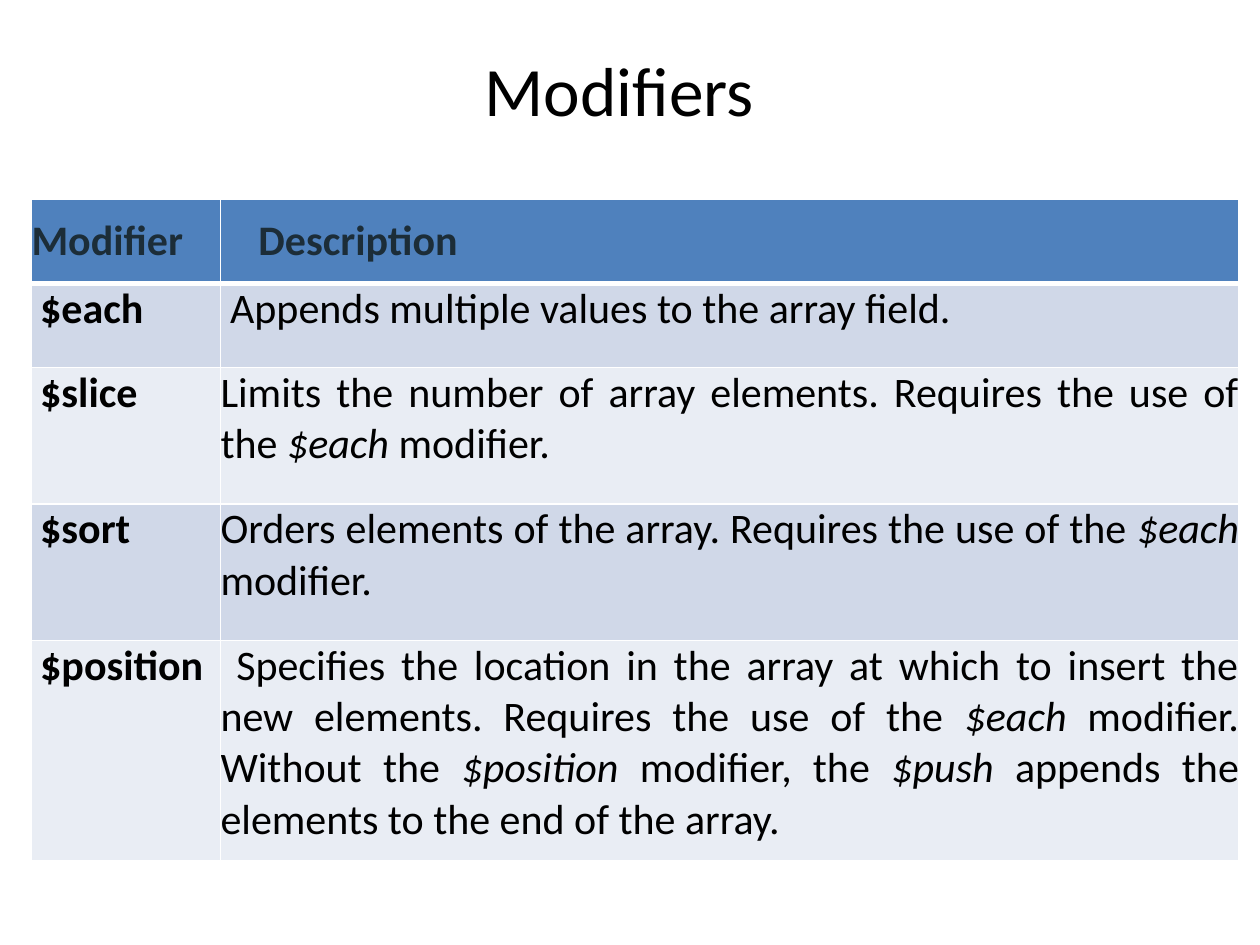
from lxml.etree import SubElement
from pptx import Presentation
from pptx.dml.color import RGBColor
from pptx.enum.text import MSO_ANCHOR, PP_ALIGN
from pptx.oxml.ns import qn
from pptx.util import Pt

BLACK = RGBColor(0x00, 0x00, 0x00)
WHITE = RGBColor(0xFF, 0xFF, 0xFF)
HEADER_TEXT = RGBColor(0x1C, 0x2D, 0x38)
HEADER_FILL = RGBColor(0x4F, 0x81, 0xBD)
BAND_FILLS = (RGBColor(0xE9, 0xED, 0xF4), RGBColor(0xD0, 0xD8, 0xE8))

COLUMN_WIDTHS = (108, 582)
ROW_HEIGHTS = (48, 48, 78, 78, 126)
MODIFIERS = (
    ("$each", "Appends multiple values to the array field.", 5.5),
    ("$slice", "Limits the number of array elements. Requires the use of the *$each *modifier.", 0),
    ("$sort", "Orders elements of the array. Requires the use of the *$each* modifier.", 0),
    ("$position", "Specifies the location in the array at which to insert the new elements. "
     "Requires the use of the *$each* modifier. Without the *$position* modifier, "
     "the *$push* appends the elements to the end of the array.", 9),
)


def write_text(text_frame, text, size=24, color=BLACK, bold=False,
               align=PP_ALIGN.JUSTIFY, indent=0):
    """Write one paragraph, with the parts between asterisks in italics."""
    paragraph = text_frame.paragraphs[0]
    paragraph.alignment = align
    if indent:
        paragraph._p.get_or_add_pPr().set("indent", str(Pt(indent)))
    for position, part in enumerate(text.split("*")):
        run = paragraph.add_run()
        run.text = part
        run.font.name = "Calibri"
        run.font.size = Pt(size)
        run.font.bold = bold
        run.font.italic = position % 2 == 1
        run.font.color.rgb = color


def add_borders(cell, top=1, bottom=1):
    """Draw white borders on the four sides of a cell."""
    properties = cell._tc.get_or_add_tcPr()
    for side, width in (("L", 1), ("R", 1), ("T", top), ("B", bottom)):
        line = SubElement(properties, qn(f"a:ln{side}"), w=str(Pt(width)))
        fill = SubElement(line, qn("a:solidFill"))
        SubElement(fill, qn("a:srgbClr"), val=str(WHITE))


def format_cell(cell, fill, left=0, anchor=MSO_ANCHOR.TOP, **borders):
    """Set the margins, anchor, borders and fill of a cell."""
    cell.margin_left = Pt(left)
    cell.margin_right = cell.margin_top = cell.margin_bottom = Pt(0)
    cell.vertical_anchor = anchor
    add_borders(cell, **borders)
    cell.fill.solid()
    cell.fill.fore_color.rgb = fill


def add_title(slide, text):
    """Place and fill the title placeholder."""
    title = slide.shapes.title
    title.left, title.top, title.width, title.height = Pt(30), Pt(24), Pt(648), Pt(54)
    title.text_frame.vertical_anchor = MSO_ANCHOR.MIDDLE
    write_text(title.text_frame, text, size=39.6, align=PP_ALIGN.CENTER)


def add_modifier_table(slide):
    """Add the table of modifiers and their descriptions."""
    table = slide.shapes.add_table(
        len(ROW_HEIGHTS), len(COLUMN_WIDTHS), Pt(18), Pt(114),
        Pt(sum(COLUMN_WIDTHS)), Pt(sum(ROW_HEIGHTS))).table
    for column, width in zip(table.columns, COLUMN_WIDTHS):
        column.width = Pt(width)
    for row, height in zip(table.rows, ROW_HEIGHTS):
        row.height = Pt(height)
    for column, (heading, indent) in enumerate((("Modifier", 0), ("Description", 21.7))):
        cell = table.cell(0, column)
        format_cell(cell, HEADER_FILL, anchor=MSO_ANCHOR.MIDDLE, bottom=3)
        write_text(cell.text_frame, heading, color=HEADER_TEXT, bold=True, indent=indent)
    for row, (modifier, description, indent) in enumerate(MODIFIERS, start=1):
        fill = BAND_FILLS[row % 2]
        top = 3 if row == 1 else 1
        name_cell, description_cell = table.cell(row, 0), table.cell(row, 1)
        format_cell(name_cell, fill, left=5, top=top)
        write_text(name_cell.text_frame, modifier, bold=True)
        format_cell(description_cell, fill, top=top)
        write_text(description_cell.text_frame, description, indent=indent)


def main():
    """Build the slide and save it."""
    presentation = Presentation()
    presentation.slide_width, presentation.slide_height = Pt(720), Pt(540)
    slide = presentation.slides.add_slide(presentation.slide_layouts[5])
    add_title(slide, "Modifiers")
    add_modifier_table(slide)
    presentation.save("out.pptx")


if __name__ == "__main__":
    main()
